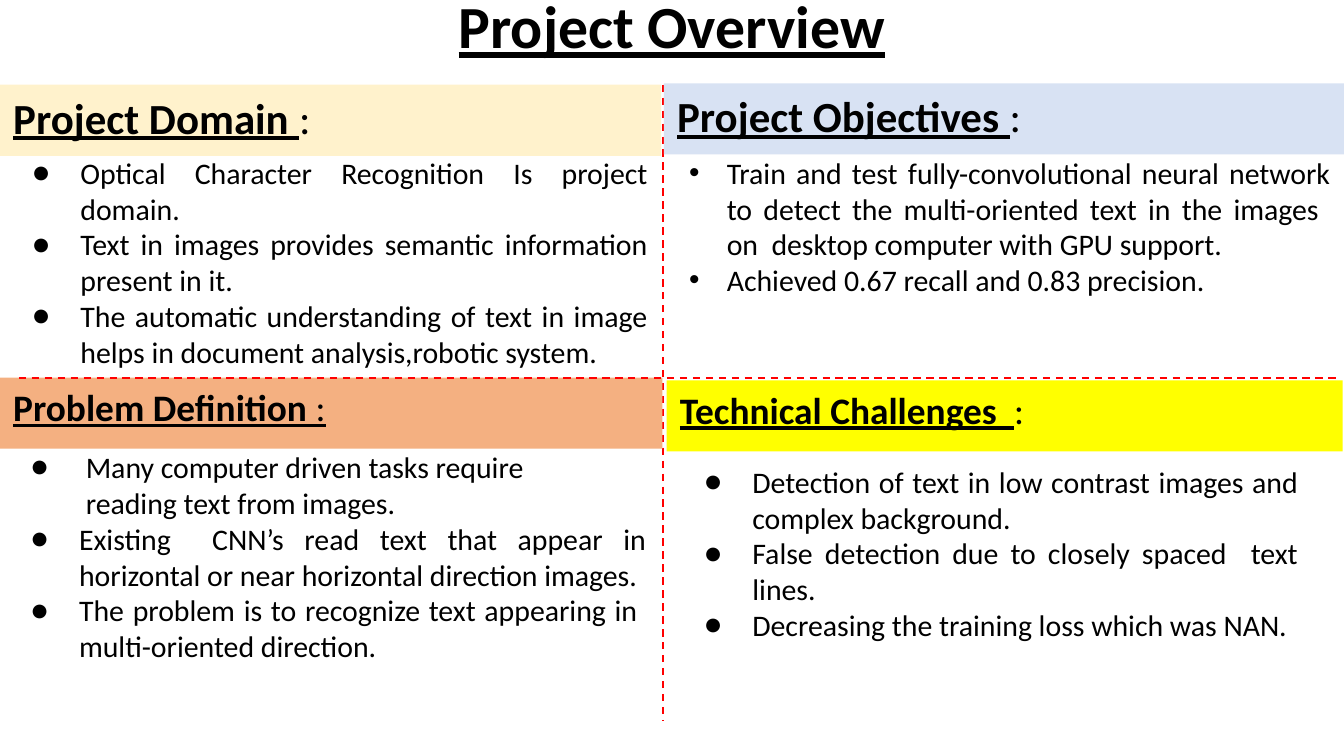
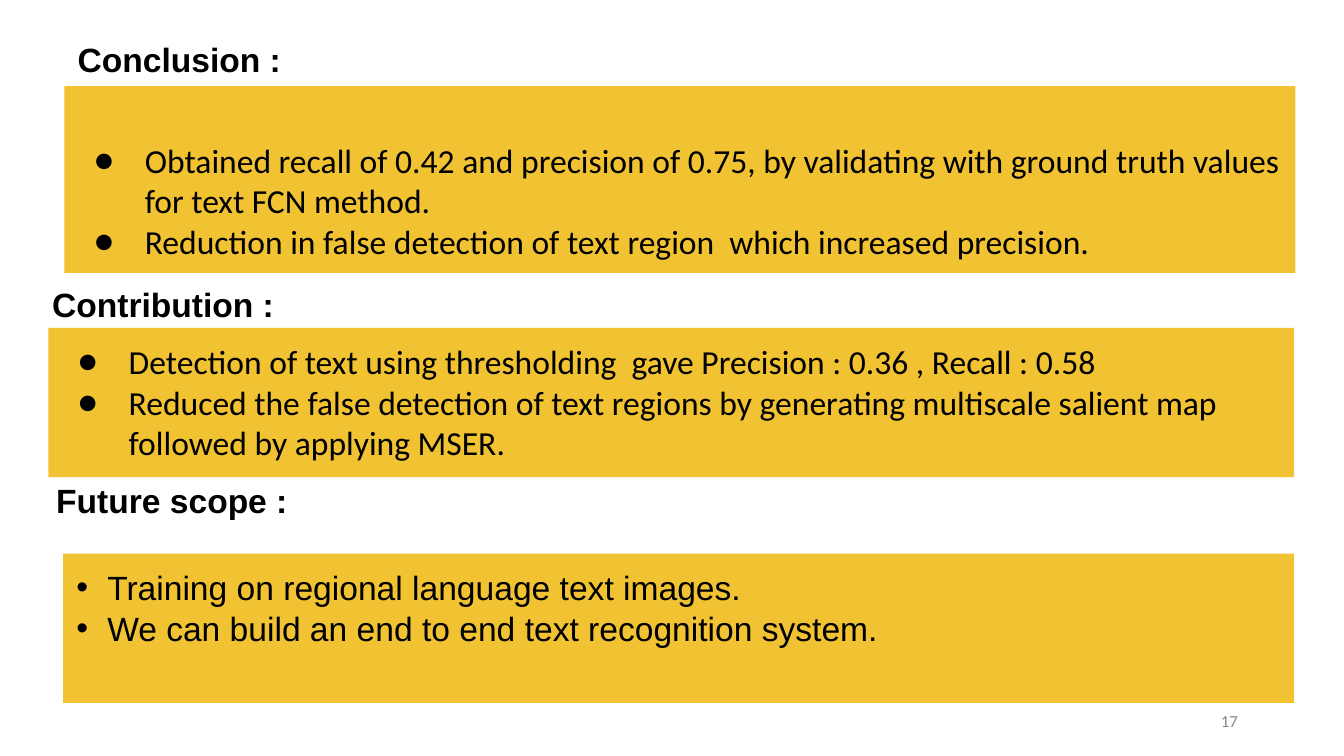
"""Build a project overview slide and a conclusion slide."""
import lxml.etree
import pptx
import pptx.dml.color
import pptx.enum.dml
import pptx.enum.shapes
import pptx.enum.text
import pptx.oxml.ns
import pptx.util

Inches = pptx.util.Inches
Align = pptx.enum.text.PP_ALIGN
Anchor = pptx.enum.text.MSO_ANCHOR
qn = pptx.oxml.ns.qn

HUES = {
    "ink": "000000", "red": "FF0000", "gray": "888888", "cream": "FFF2CC",
    "peach": "F4B081", "sky": "D8E2F3", "lemon": "FFFF00", "gold": "F1C232",
}
MARKS = {"●": "Calibri", "•": "Arial"}


class Deck:
    """Hold the shared style and the current slide."""

    def __init__(self):
        self.show = pptx.Presentation()
        self.show.slide_width = Inches(10)
        self.show.slide_height = Inches(10 * 9 / 16)
        self.slide = None

    def page(self, layout):
        self.slide = self.show.slides.add_slide(self.show.slide_layouts[layout])

    def hue(self, name):
        return pptx.dml.color.RGBColor.from_string(HUES[name])

    def style(self, target, values):
        for key, value in values.items():
            setattr(target, key, value)

    def frame(self, shape, inset, top=None, anchor=Anchor.TOP):
        frame = shape.text_frame
        self.style(frame, {
            "word_wrap": True,
            "auto_size": pptx.enum.text.MSO_AUTO_SIZE.NONE,
            "vertical_anchor": anchor,
            "margin_left": Inches(0.1),
            "margin_right": Inches(0.1),
            "margin_top": Inches(inset if top is None else top),
            "margin_bottom": Inches(inset),
        })
        return frame

    def run(self, para, text, size, face="Calibri", hue="ink", **more):
        run = para.add_run()
        run.text = text
        self.style(run.font, {"size": pptx.util.Pt(size), "name": face, **more})
        run.font.color.rgb = self.hue(hue)

    def title(self, text, box):
        shape = self.slide.shapes.title
        names = ("left", "top", "width", "height")
        self.style(shape, dict(zip(names, map(Inches, box))))
        para = self.frame(shape, 0.05, anchor=Anchor.BOTTOM).paragraphs[0]
        self.style(para, {"alignment": Align.CENTER, "line_spacing": 0.9})
        self.run(para, text, 32, bold=True, underline=True)

    def band(self, box, fill):
        kind = pptx.enum.shapes.MSO_SHAPE.RECTANGLE
        shape = self.slide.shapes.add_shape(kind, *map(Inches, box))
        shape.shadow.inherit = False
        shape.fill.solid()
        shape.fill.fore_color.rgb = self.hue(fill)
        shape.line.fill.background()
        return shape

    def area(self, box):
        return self.slide.shapes.add_textbox(*map(Inches, box))

    def head(self, box, fill, label, size, under=False):
        para = self.frame(self.band(box, fill), 0.05).paragraphs[0]
        para.alignment = Align.JUSTIFY
        self.run(para, label, size, bold=True, underline=True)
        self.run(para, ":", size, bold=False, underline=under)

    def label(self, box, text, size, inset=0.1, align=Align.LEFT,
              anchor=Anchor.TOP, **more):
        para = self.frame(self.area(box), inset, anchor=anchor).paragraphs[0]
        para.alignment = align
        self.run(para, text, size, **more)

    def list(self, shape, items, size, left=0.5, hang=0.36, mark="●",
             face="Calibri", align=Align.JUSTIFY, inset=0.05, top=None, bare=()):
        frame = self.frame(shape, inset, top)
        for index, text in enumerate(items):
            para = frame.add_paragraph() if index else frame.paragraphs[0]
            para.alignment = align
            props = para._p.get_or_add_pPr()
            props.set("marL", str(Inches(left)))
            props.set("indent", "0" if index in bare else str(-Inches(hang)))
            if index not in bare:
                tint = lxml.etree.SubElement(props, qn("a:buClr"))
                lxml.etree.SubElement(tint, qn("a:srgbClr"), val=HUES["ink"])
                lxml.etree.SubElement(props, qn("a:buFont"), typeface=MARKS[mark])
                lxml.etree.SubElement(props, qn("a:buChar"), char=mark)
            self.run(para, text, size, face)

    def rule(self, *ends):
        kind = pptx.enum.shapes.MSO_CONNECTOR.STRAIGHT
        line = self.slide.shapes.add_connector(kind, *map(Inches, ends))
        line.line.color.rgb = self.hue("red")
        self.style(line.line, {
            "width": pptx.util.Pt(1),
            "dash_style": pptx.enum.dml.MSO_LINE.DASH,
        })
        lxml.etree.SubElement(line._element.spPr, qn("a:effectLst"))


def survey(deck):
    deck.page(5)
    deck.title("Project Overview", (-0.02, -0.08, 10.04, 0.59))
    deck.rule(4.93, 0.63, 4.93, 5.36)
    for box, *rest in (
        ((0, 0.63, 4.92, 0.53), "cream", "Project Domain ", 23),
        ((0, 2.81, 4.93, 0.53), "peach", "Problem Definition ", 20, True),
        ((4.94, 0.62, 5.06, 0.53), "sky", "Project Objectives ", 23),
        ((4.96, 2.83, 5.03, 0.53), "lemon", "Technical Challenges  ", 20),
    ):
        deck.head(box, *rest)
    deck.rule(0.14, 2.81, 9.96, 2.81)
    deck.list(deck.area((5, 1.1, 5, 1.57)), (
        "Train and test fully-convolutional neural network to detect the "
        "multi-oriented text in the images  on  desktop computer with GPU support.",
        "Achieved 0.67 recall and 0.83 precision.",
    ), 16, left=0.31, hang=0.28, mark="•")
    deck.list(deck.area((-0.01, 2.76, 4.92, 2.55)), (
        " Many computer driven tasks require",
        " reading text from images.",
        "Existing  CNN’s read text that appear in horizontal or near "
        "horizontal direction images.",
        "The problem is to recognize text appearing in  multi-oriented direction.",
    ), 16, top=0.58, bare=(1,))
    deck.list(deck.area((5, 3.4, 4.76, 2.16)), (
        "Detection of text in low contrast images and complex background.",
        "False detection due to closely spaced  text lines.",
        "Decreasing the training loss which was NAN.",
    ), 16)
    deck.list(deck.area((0, 1.1, 4.92, 1.71)), (
        "Optical Character Recognition Is project domain.",
        "Text in images provides semantic information present in it.",
        "The automatic understanding of text in image helps in document "
        "analysis,robotic system.",
    ), 16)


def close(deck):
    deck.page(6)
    deck.label((7.06, 5.21, 2.25, 0.3), "17", 9, inset=0.05,
               align=Align.RIGHT, anchor=Anchor.MIDDLE, hue="gray")
    dots = {"hang": 0.38}
    plain = {"left": 0.23, "hang": 0.23, "mark": "•", "face": "Arial"}
    for name, spot, box, look, items in (
        ("Conclusion :", (0.48, 0.19), (0.48, 0.64, 9.16, 1.39),
         {**dots, "top": 0.4}, (
            "Obtained recall of 0.42 and precision of 0.75, by validating "
            "with ground truth values for text FCN method.",
            "Reduction in false detection of text region  which increased "
            "precision.")),
        ("Contribution :", (0.29, 2.01), (0.36, 2.44, 9.27, 1.11), dots, (
            "Detection of text using thresholding  gave Precision : 0.36 , "
            "Recall : 0.58",
            "Reduced the false detection of text regions by generating "
            "multiscale salient map followed by applying MSER.")),
        ("Future scope :", (0.32, 3.47), (0.47, 4.12, 9.16, 1.11), plain, (
            "Training on regional language text images.",
            "We can build an end to end text recognition system.")),
    ):
        deck.label((*spot, 8.83, 0.58), name, 18, face="Arial", bold=True)
        deck.list(deck.band(box, "gold"), items, 18, align=Align.LEFT,
                  inset=0.1, **look)


def main():
    deck = Deck()
    survey(deck)
    close(deck)
    deck.show.save("out.pptx")


if __name__ == "__main__":
    main()
